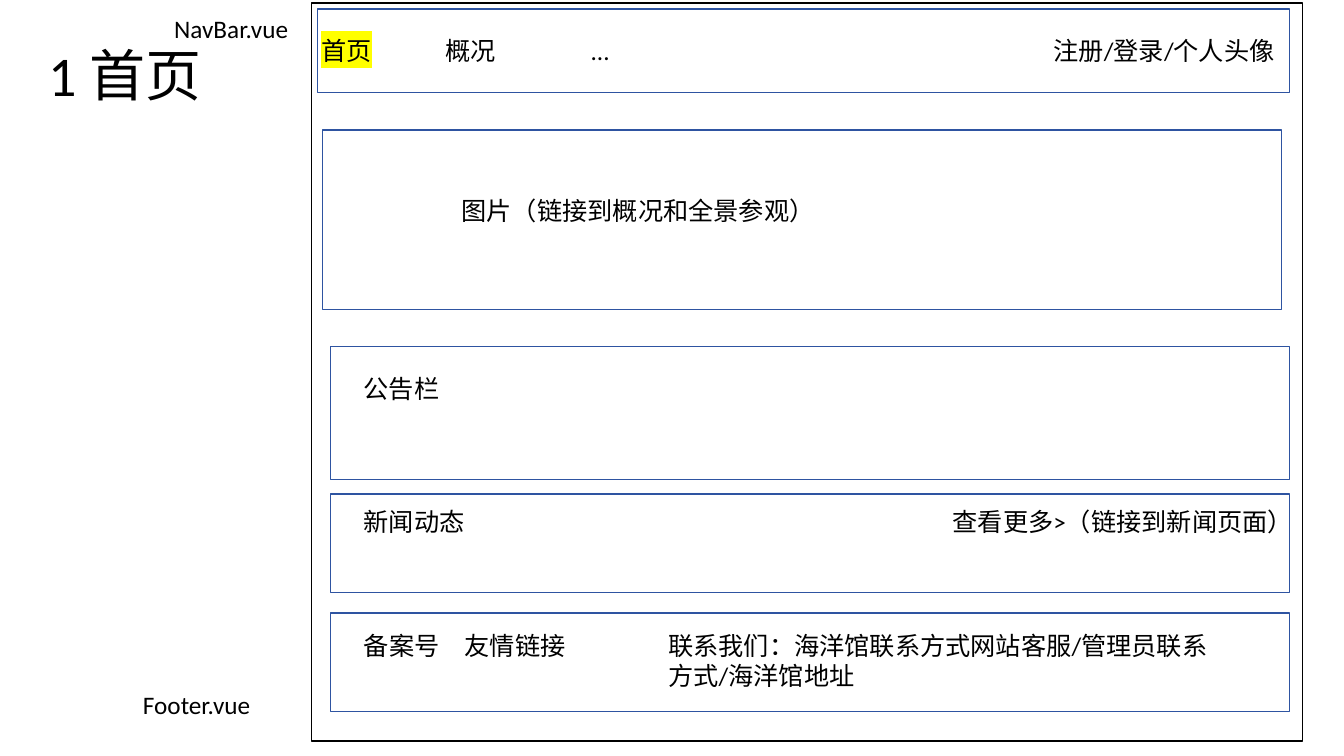
import lxml.etree
import pptx
import pptx.dml.color
import pptx.enum.shapes
import pptx.oxml.ns
import pptx.util

PX = 9144  # EMU per px, 100 px to the inch
BLACK = "000000"
BLUE = "2E54A1"
YELLOW = "FFFF00"


def color(value):
    return pptx.dml.color.RGBColor.from_string(value)


class Wireframe:
    """Holds the text style and the current slide."""

    def __init__(self, slide, font="Calibri", size=18):
        self.slide = slide
        self.font = font
        self.size = size

    def frame(self, left, top, width, height, line=BLUE):
        box = self.slide.shapes.add_shape(
            pptx.enum.shapes.MSO_SHAPE.RECTANGLE,
            *(value * PX for value in (left, top, width, height)))
        box.shadow.inherit = False
        box.fill.background()
        box.line.color.rgb = color(line)
        box.line.width = pptx.util.Pt(1)

    def label(self, text, left, top, width=444, height=40, size=None, highlight=None):
        box = self.slide.shapes.add_textbox(
            *(value * PX for value in (left, top, width, height)))
        box.text_frame.word_wrap = True
        box.text_frame.text = text
        span = box.text_frame.paragraphs[0].runs[0]
        span.font.name = self.font
        span.font.size = pptx.util.Pt(size or self.size)
        span.font.color.rgb = color(BLACK)
        if highlight:
            self.highlight(span, highlight)

    def highlight(self, span, value):
        qn = pptx.oxml.ns.qn
        mark = lxml.etree.Element(qn("a:highlight"))
        lxml.etree.SubElement(mark, qn("a:srgbClr"), val=value)
        # The schema wants the highlight right after the text fill
        span.font._element.find(qn("a:solidFill")).addnext(mark)


def main():
    deck = pptx.Presentation()
    deck.slide_width = 1333 * PX
    deck.slide_height = 750 * PX
    page = Wireframe(deck.slides.add_slide(deck.slide_layouts[6]))

    # Title and component names
    page.label("1 首页", 38, 35, height=77, size=40)
    page.label("NavBar.vue", 163, 8)
    page.label("Footer.vue", 132, 679)

    # Browser page
    page.frame(309, 3, 983, 732, line=BLACK)

    # Navigation bar
    page.frame(315, 9, 964, 83)
    page.label("首页", 309, 30, width=95, highlight=YELLOW)
    page.label("概况", 432, 30)
    page.label("...", 576, 30)
    page.label("注册/登录/个人头像", 1035, 30, width=262)

    # Banner
    page.frame(320, 129, 951, 178)
    page.label("图片（链接到概况和全景参观）", 448, 189)

    # Notice board, news and footer
    for top, height in ((344, 132), (490, 98), (608, 98)):
        page.frame(328, top, 951, height)
    page.label("公告栏", 351, 365)
    page.label("新闻动态", 351, 497)
    page.label("查看更多>（链接到新闻页面）", 935, 497)
    page.label("备案号\t友情链接", 351, 620, width=265, height=47)
    page.label("联系我们：海洋馆联系方式网站客服/管理员联系方式/海洋馆地址",
               653, 620, width=556, height=72)

    deck.save("out.pptx")


if __name__ == "__main__":
    main()
